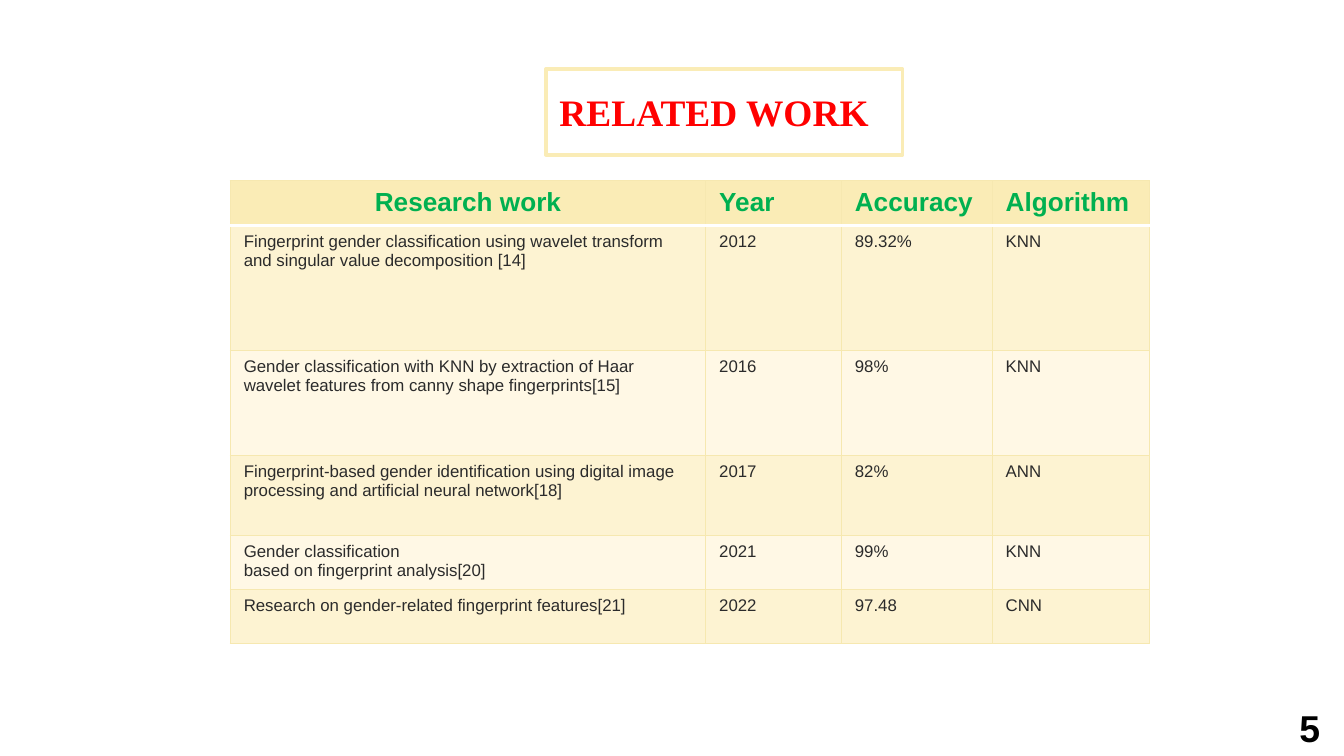
from dataclasses import dataclass
from typing import Any

from lxml import etree
from pptx import Presentation
from pptx.dml.color import RGBColor
from pptx.enum import text
from pptx.oxml import ns
from pptx.util import Pt

HEADER = ["Research work", "Year", "Accuracy", "Algorithm"]
STUDIES = [
    ["Fingerprint gender classification using wavelet transform and singular value decomposition [14]",
     "2012", "89.32%", "KNN"],
    ["Gender classification with KNN by extraction of Haar wavelet features from canny shape fingerprints[15]",
     "2016", "98%", "KNN"],
    ["Fingerprint-based gender identification using digital image processing and artificial neural network[18]",
     "2017", "82%", "ANN"],
    ["Gender classification\nbased on fingerprint analysis[20]", "2021", "99%", "KNN"],
    ["Research on gender-related fingerprint features[21]", "2022", "97.48", "CNN"],
]
COLUMN_WIDTHS = [254.7, 72.7, 80.8, 84.2]
ROW_HEIGHTS = [24.1, 67, 56.2, 42.9, 28.9, 28.9]


def rgb(value):
    """Turn a hex string into a colour."""
    return RGBColor.from_string(value)


@dataclass
class Deck:
    """Hold the slide and its shared style."""
    s: Any
    sand: str = "FAECB6"
    bands: tuple = ("FDF3D2", "FFF8E5")
    rule: str = "F6E8B0"
    white: str = "FFFFFF"

    def set_text(self, tf, words, size, color, bold=True, name="Arial", align=text.PP_ALIGN.LEFT):
        """Put formatted paragraphs into a text frame."""
        tf.text = words
        style = {"size": Pt(size), "bold": bold, "name": name}
        for p in tf.paragraphs:
            p.alignment = align
            for r in p.runs:
                for key, value in style.items():
                    setattr(r.font, key, value)
                r.font.color.rgb = rgb(color)

    def place(self, sp, left, top, width, height):
        """Set a shape's position and size."""
        for key, value in zip(("left", "top", "width", "height"), (left, top, width, height)):
            setattr(sp, key, Pt(value))

    def title(self, words, box):
        """Format the title placeholder as a framed heading."""
        sp = self.s.shapes.title
        self.place(sp, *box)
        sp.fill.solid()
        sp.fill.fore_color.rgb = rgb(self.white)
        sp.line.color.rgb = rgb(self.sand)
        sp.line.width = Pt(2)
        tf = sp.text_frame
        frame = {"word_wrap": True, "auto_size": text.MSO_AUTO_SIZE.NONE,
                 "vertical_anchor": text.MSO_ANCHOR.MIDDLE}
        frame.update({f"margin_{side}": Pt(7.2) for side in ("left", "top", "right", "bottom")})
        for key, value in frame.items():
            setattr(tf, key, value)
        self.set_text(tf, words, 20, "FF0000", name="Times New Roman")

    def label(self, words, box):
        """Add a centred bold text box."""
        tf = self.s.shapes.add_textbox(*map(Pt, box)).text_frame
        tf.word_wrap = True
        self.set_text(tf, words, 20, "000000", align=text.PP_ALIGN.CENTER)

    def border(self, cell, edge, color, width):
        """Draw one edge of a table cell."""
        props = cell._tc.get_or_add_tcPr()
        ln = etree.SubElement(props, ns.qn(f"a:ln{edge}"), w=str(int(Pt(width))))
        fill = etree.SubElement(ln, ns.qn("a:solidFill"))
        etree.SubElement(fill, ns.qn("a:srgbClr"), val=color)

    def cell(self, cell, words, row, col):
        """Fill, frame and letter one table cell."""
        for edge in "LRTB":
            below_header = (row, edge) in ((0, "B"), (1, "T"))
            self.border(cell, edge, *((self.white, 2) if below_header else (self.rule, 0.75)))
        cell.fill.solid()
        cell.fill.fore_color.rgb = rgb(self.bands[(row - 1) % 2] if row else self.sand)
        if row:
            self.set_text(cell.text_frame, words, 9, "2B2B2B", bold=False)
        else:
            align = text.PP_ALIGN.LEFT if col else text.PP_ALIGN.CENTER
            self.set_text(cell.text_frame, words, 14, "00B050", align=align)

    def table(self, rows, left, top, widths, heights):
        """Add a banded table with a header row."""
        box = map(Pt, (left, top, sum(widths), sum(heights)))
        table = self.s.shapes.add_table(len(rows), len(widths), *box).table
        for column, width in zip(table.columns, widths):
            column.width = Pt(width)
        for i, (words, height) in enumerate(zip(rows, heights)):
            table.rows[i].height = Pt(height)
            for j, word in enumerate(words):
                self.cell(table.cell(i, j), word, i, j)


def main():
    """Build and save the related work slide."""
    prs = Presentation()
    prs.slide_width, prs.slide_height = Pt(720), Pt(405)
    deck = Deck(prs.slides.add_slide(prs.slide_layouts[5]))
    deck.title("RELATED WORK", (292.5, 36.9, 191, 46))
    deck.table([HEADER, *STUDIES], 123.4, 96.9, COLUMN_WIDTHS, ROW_HEIGHTS)
    deck.label("5", (683.3, 374.4, 36.7, 31.5))
    prs.save("out.pptx")


if __name__ == "__main__":
    main()
